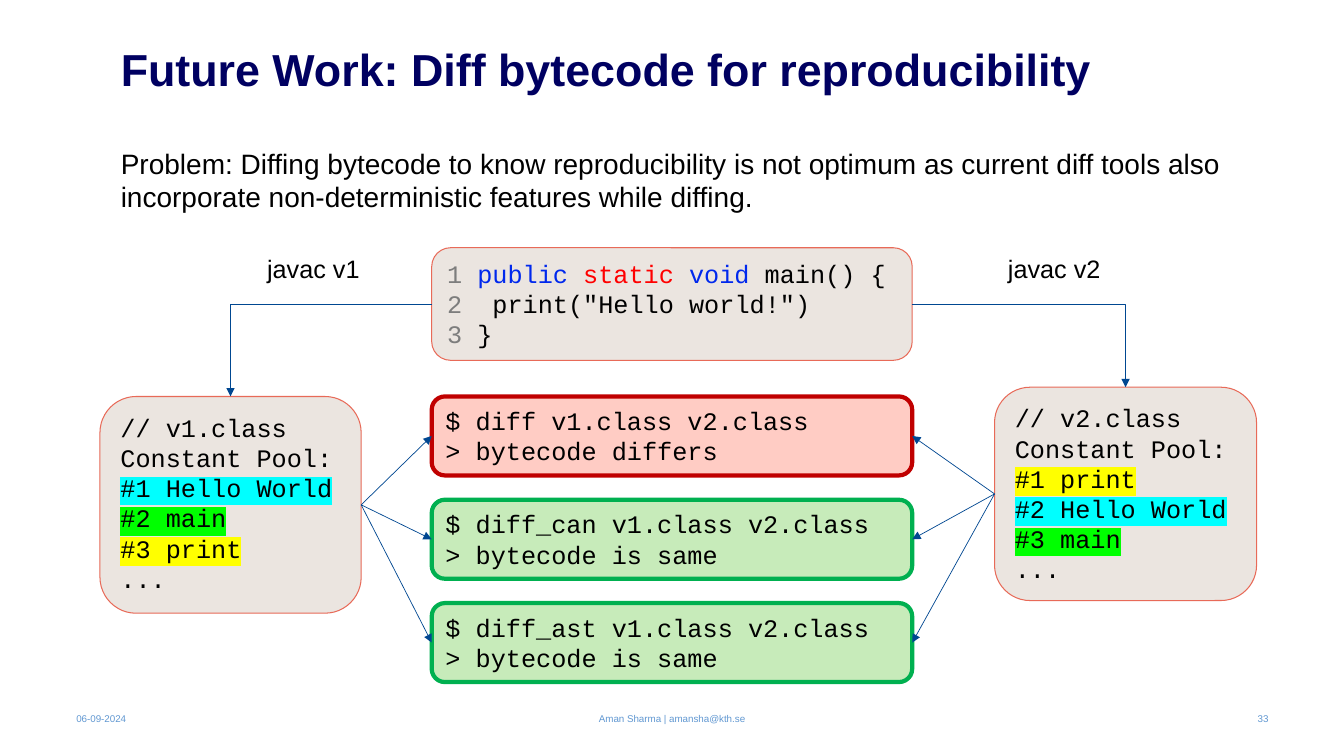
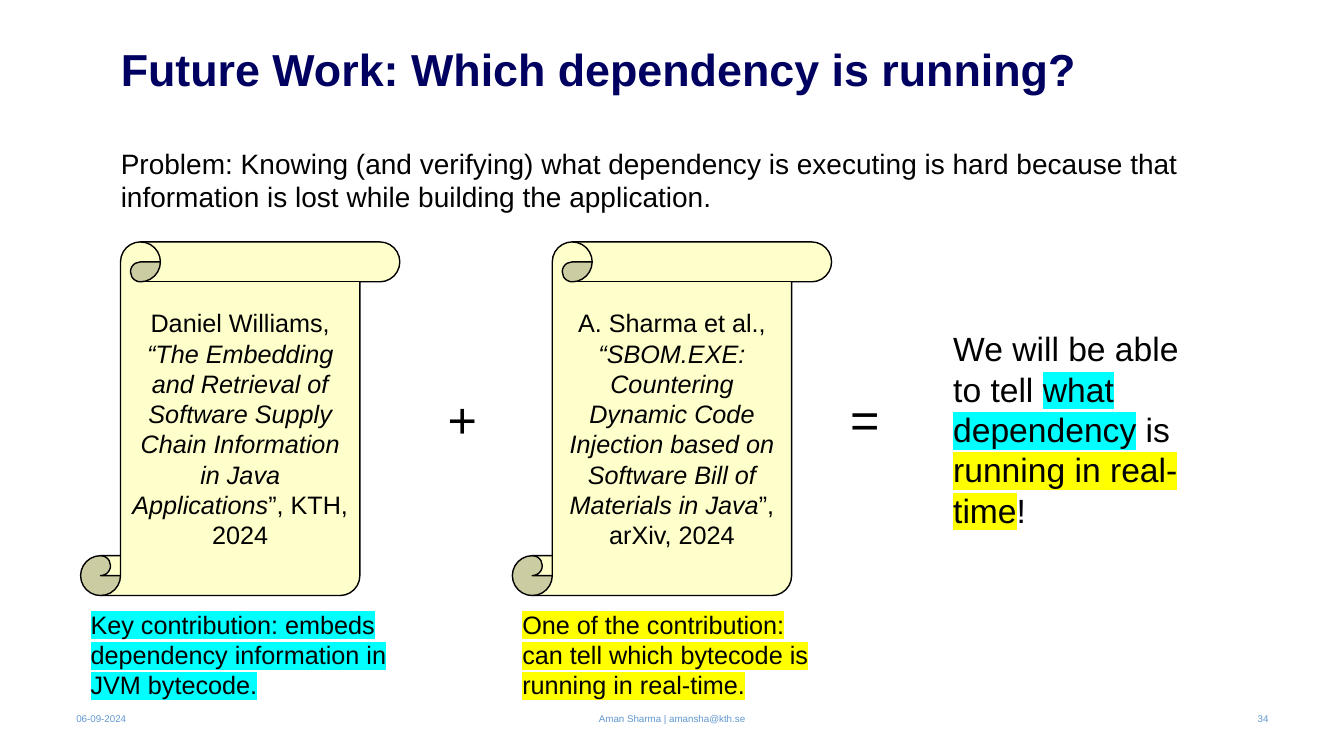
from lxml.etree import SubElement
from pptx import Presentation
from pptx.dml.color import RGBColor
from pptx.enum.shapes import MSO_CONNECTOR, MSO_SHAPE
from pptx.enum.text import MSO_ANCHOR, PP_ALIGN
from pptx.oxml.ns import qn
from pptx.util import Inches, Pt

ROUNDED = MSO_SHAPE.ROUNDED_RECTANGLE
SCROLL = MSO_SHAPE.VERTICAL_SCROLL
STRAIGHT, ELBOW = MSO_CONNECTOR.STRAIGHT, MSO_CONNECTOR.ELBOW
TOP, MIDDLE = MSO_ANCHOR.TOP, MSO_ANCHOR.MIDDLE
LEFT, CENTER, RIGHT = PP_ALIGN.LEFT, PP_ALIGN.CENTER, PP_ALIGN.RIGHT
TOP_SIDE, LEFT_SIDE, RIGHT_SIDE = 0, 1, 3

SLIDE_WIDTH, SLIDE_HEIGHT = Inches(13.33), Inches(7.5)
GRID_COLUMNS, GRID_ROWS = 160, 90

COLORS = {
    "title": "000061", "footer": "6198D2", "text": "000000",
    "keyword": "0028ED", "modifier": "FF0000", "line_number": "7D7D7D",
    "panel": "EBE5E0", "panel_edge": "E86A58", "arrow": "004791",
    "differs": "FFCCC4", "differs_edge": "C00000",
    "same": "C7EBBA", "same_edge": "00B050", "paper": "FFFFCC",
    "cyan": "00FFFF", "green": "00FF00", "yellow": "FFFF00",
}

TITLE = {"name": "Arial", "size": Pt(32), "bold": True, "color": "title"}
FOOTER = {"name": "Arial", "size": Pt(7), "color": "footer"}
BODY = {"name": "Arial", "size": Pt(20), "color": "text"}
LABEL = {**BODY, "size": Pt(18)}
RESULT = {**BODY, "size": Pt(24)}
OPERATOR = {**BODY, "size": Pt(36)}
CODE = {**LABEL, "name": "Courier New"}

ITALIC = {"italic": True}
NUMBER, KEYWORD, MODIFIER = ({"color": name} for name in ("line_number", "keyword", "modifier"))
CYAN, GREEN, YELLOW = ({"highlight": name} for name in ("cyan", "green", "yellow"))

CENTER_BOX_LEFT, CENTER_BOX_WIDTH = 51.4, 57.2
DIFF_TOP, DIFF_STEP, DIFF_HEIGHT = 47.2, 12.3, 9.4
SCROLL_LEFT, SCROLL_STEP, SCROLL_WIDTH = 9.6, 51.4, 38


def rgb(name):
    return RGBColor.from_string(COLORS[name])


def place(column, row, columns, rows):
    return (round(SLIDE_WIDTH * column / GRID_COLUMNS), round(SLIDE_HEIGHT * row / GRID_ROWS),
            round(SLIDE_WIDTH * columns / GRID_COLUMNS), round(SLIDE_HEIGHT * rows / GRID_ROWS))


def format_run(run, formats):
    for attribute, value in formats.items():
        if attribute not in ("color", "highlight"):
            setattr(run.font, attribute, value)
    run.font.color.rgb = rgb(formats["color"])
    if "highlight" in formats:
        properties = run.font._element
        highlight = SubElement(properties, qn("a:highlight"))
        SubElement(highlight, qn("a:srgbClr"), val=COLORS[formats["highlight"]])
        properties.find(qn("a:solidFill")).addnext(highlight)


def write_text(shape, paragraphs, style, alignment=LEFT, anchor=TOP, line_spacing=None):
    frame = shape.text_frame
    frame.word_wrap = True
    frame.vertical_anchor = anchor
    for index, runs in enumerate(paragraphs):
        paragraph = frame.add_paragraph() if index else frame.paragraphs[0]
        paragraph.alignment = alignment
        paragraph.line_spacing = line_spacing
        for text, formats in runs:
            run = paragraph.add_run()
            run.text = text
            format_run(run, {**style, **formats})


def plain(*lines):
    return [[(line, {})] for line in lines]


def add_text(slide, cells, paragraphs, style, **layout):
    box = slide.shapes.add_textbox(*place(*cells))
    write_text(box, paragraphs, style, **layout)
    return box


def add_panel(slide, kind, cells, fill, edge, edge_width, paragraphs, style, **layout):
    shape = slide.shapes.add_shape(kind, *place(*cells))
    shape.shadow.inherit = False
    shape.fill.solid()
    shape.fill.fore_color.rgb = rgb(fill)
    shape.line.color.rgb = rgb(edge)
    shape.line.width = Pt(edge_width)
    write_text(shape, paragraphs, style, **layout)
    return shape


def add_code_panel(slide, cells, paragraphs):
    return add_panel(slide, ROUNDED, cells, "panel", "panel_edge", 0.75, paragraphs, CODE)


def add_arrow(slide, kind, source, source_side, target, target_side):
    connector = slide.shapes.add_connector(kind, 0, 0, 0, 0)
    connector.begin_connect(source, source_side)
    connector.end_connect(target, target_side)
    connector.line.color.rgb = rgb("arrow")
    connector.line.width = Pt(0.5)
    properties = connector._element.spPr
    if kind == ELBOW:
        properties.find(qn("a:prstGeom")).set("prst", "bentConnector2")
    SubElement(properties.find(qn("a:ln")), qn("a:tailEnd"), type="triangle")
    SubElement(properties, qn("a:effectLst"))


def add_base_slide(presentation, title, problem, number):
    slide = presentation.slides.add_slide(presentation.slide_layouts[6])
    heading = add_text(slide, (13.2, 4.3, 138.8, 7.8), plain(title), TITLE,
                       anchor=MIDDLE, line_spacing=0.9)
    heading.text_frame.margin_top = Inches(0.12)
    footers = (
        (7.9, 36, "06-09-2024", LEFT),
        (53, 54, "Aman Sharma | amansha@kth.se", CENTER),
        (116.2, 36, number, RIGHT),
    )
    for column, columns, text, alignment in footers:
        add_text(slide, (column, 85, columns, 1.2), plain(text), FOOTER,
                 alignment=alignment, anchor=MIDDLE)
    add_text(slide, (13.2, 16.8, 136.4, 9.2), plain(problem), BODY)
    return slide


def build_diff_slide(presentation):
    slide = add_base_slide(
        presentation, "Future Work: Diff bytecode for reproducibility",
        "Problem: Diffing bytecode to know reproducibility is not optimum as current diff tools "
        "also incorporate non-deterministic features while diffing.", "33")
    source = add_code_panel(slide, (CENTER_BOX_LEFT, 29.5, CENTER_BOX_WIDTH, 13.4), [
        [("1", NUMBER), (" public ", KEYWORD), ("static ", MODIFIER), ("void ", KEYWORD),
         ("main() {", {})],
        [("2", NUMBER), ("  print(\"Hello world!\")", {})],
        [("3 ", NUMBER), ("}", {})],
    ])
    diffs = (
        ("diff", "differs", "differs"),
        ("diff_can", "is same", "same"),
        ("diff_ast", "is same", "same"),
    )
    diff_boxes = [
        add_panel(slide, ROUNDED,
                  (CENTER_BOX_LEFT, DIFF_TOP + index * DIFF_STEP, CENTER_BOX_WIDTH, DIFF_HEIGHT),
                  fill, fill + "_edge", 3,
                  plain(f"$ {command} v1.class v2.class", f"> bytecode {outcome}"), CODE)
        for index, (command, outcome, fill) in enumerate(diffs)
    ]
    versions = (
        ("v1", (11.9, 47.2, 31.1, 25.8), 25.9, LEFT_SIDE, RIGHT_SIDE,
         (("Hello World", CYAN), ("main", GREEN), ("print", YELLOW))),
        ("v2", (118.4, 46.1, 31.2, 25.4), 114.1, RIGHT_SIDE, LEFT_SIDE,
         (("print", YELLOW), ("Hello World", CYAN), ("main", GREEN))),
    )
    for version, cells, label_column, outer_side, inner_side, constants in versions:
        entries = [[(f"#{number} {text}", mark)]
                   for number, (text, mark) in enumerate(constants, 1)]
        class_box = add_code_panel(
            slide, cells,
            plain(f"// {version}.class", "Constant Pool:") + entries + plain("..."))
        add_text(slide, (label_column, 29.6, 22.8, 4.8), plain(f"javac {version}"), LABEL,
                 alignment=CENTER)
        add_arrow(slide, ELBOW, source, outer_side, class_box, TOP_SIDE)
        for diff_box in diff_boxes:
            add_arrow(slide, STRAIGHT, class_box, inner_side, diff_box, outer_side)


def build_dependency_slide(presentation):
    slide = add_base_slide(
        presentation, "Future Work: Which dependency is running?",
        "Problem: Knowing (and verifying) what dependency is executing is hard because that "
        "information is lost while building the application.", "34")
    papers = (
        ([[("Daniel Williams, ", {}), ("“The Embedding and Retrieval of", ITALIC)],
          [("Software Supply Chain Information", ITALIC)],
          [("in Java Applications", ITALIC), ("”, KTH, 2024", {})]],
         "Key contribution: embeds dependency information in JVM bytecode.", CYAN),
        ([[("A. Sharma et al., ", {}),
           ("“SBOM.EXE: Countering Dynamic Code Injection based on Software Bill of "
            "Materials in Java", ITALIC),
           ("”, arXiv, 2024", {})]],
         "One of the contribution: can tell which bytecode is running in real-time.", YELLOW),
    )
    for index, (citation, contribution, mark) in enumerate(papers):
        column = SCROLL_LEFT + index * SCROLL_STEP
        add_panel(slide, SCROLL, (column, 28.8, SCROLL_WIDTH, 42.1), "paper", "text", 1,
                  citation, LABEL, alignment=CENTER, anchor=MIDDLE)
        add_text(slide, (column, 71.9, SCROLL_WIDTH, 12.1), [[(contribution, mark)]], LABEL)
    for column, symbol in ((51.1, "+"), (99, "=")):
        add_text(slide, (column, 45.6, 7.9, 8.5), plain(symbol), OPERATOR,
                 alignment=CENTER, anchor=MIDDLE)
    add_text(slide, (112.3, 38.5, 32.2, 25.4), [[
        ("We will be able to tell ", {}), ("what dependency", CYAN), (" is ", {}),
        ("running in real-time", YELLOW), ("!", {}),
    ]], RESULT)


def main():
    presentation = Presentation()
    presentation.slide_width = SLIDE_WIDTH
    presentation.slide_height = SLIDE_HEIGHT
    build_diff_slide(presentation)
    build_dependency_slide(presentation)
    presentation.save("out.pptx")


if __name__ == "__main__":
    main()
